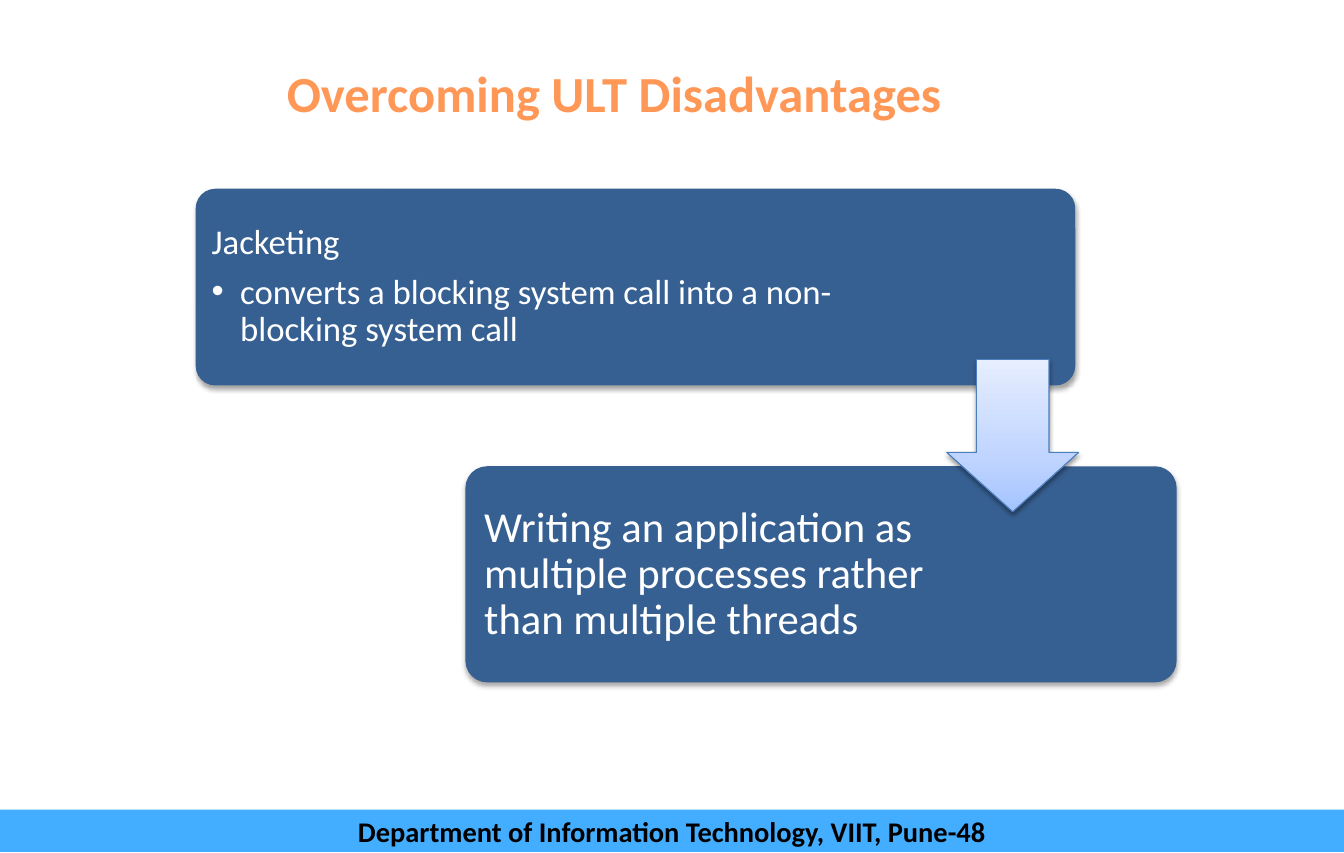
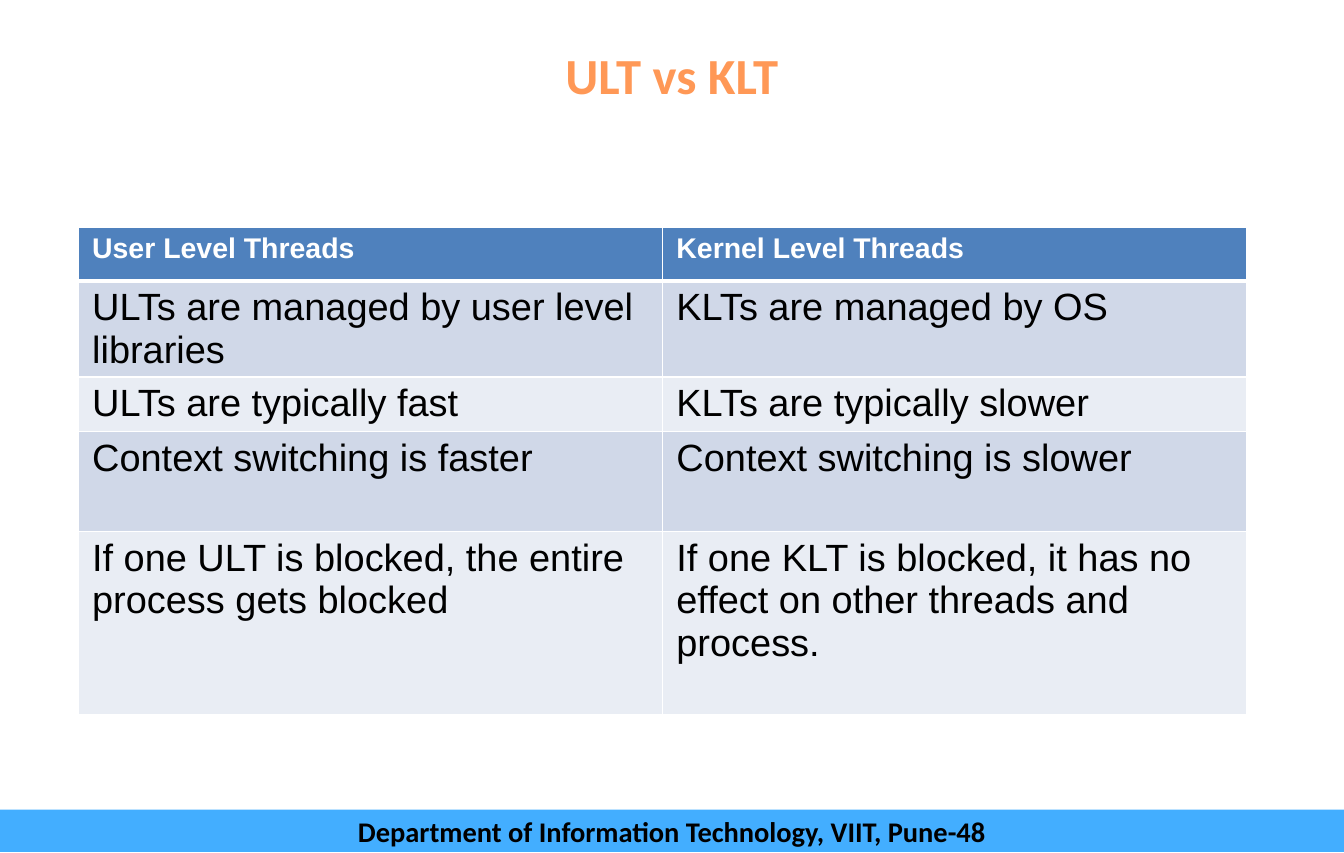
from copy import deepcopy

from lxml.etree import SubElement
from pptx import Presentation
from pptx.dml.color import RGBColor
from pptx.enum.shapes import MSO_SHAPE
from pptx.enum.text import MSO_ANCHOR, MSO_AUTO_SIZE, PP_ALIGN
from pptx.oxml import parse_xml
from pptx.oxml.ns import nsdecls, qn
from pptx.util import Inches, Pt

WHITE = RGBColor(0xFF, 0xFF, 0xFF)
BLACK = RGBColor(0x00, 0x00, 0x00)
ORANGE = RGBColor(0xFF, 0x98, 0x56)
SKY = RGBColor(0x43, 0xAE, 0xFF)
NAVY = RGBColor(0x37, 0x60, 0x92)
ARROW_LINE = RGBColor(0x4B, 0x7E, 0xBC)
ARROW_STOPS = [(0, RGBColor(0xA4, 0xC4, 0xFF)),
               (0.35, RGBColor(0xBF, 0xD4, 0xFF)),
               (1, RGBColor(0xE6, 0xEE, 0xFF))]
HEADER_BLUE = RGBColor(0x4F, 0x81, 0xBD)
BANDS = [RGBColor(0xD0, 0xD8, 0xE8), RGBColor(0xE9, 0xED, 0xF4)]

WIDTH = 30 / 2.54  # the slide is 30 cm wide
FOOTER = "Department of Information Technology, VIIT, Pune-48"


def add_run(p, text, size, color, bold=False, name="Calibri"):
    r = p.add_run()
    r.text = text
    r.font.name, r.font.size, r.font.bold = name, Pt(size), bold
    r.font.color.rgb = color


def add_shadow(shape, alpha):
    shape.shadow.inherit = False
    effects = shape._element.spPr.find(qn("a:effectLst"))
    effects.append(parse_xml(
        f'<a:outerShdw {nsdecls("a")} blurRad="{Pt(3.1)}" dist="{Pt(1.8)}" dir="5400000" '
        f'rotWithShape="0"><a:srgbClr val="000000"><a:alpha val="{alpha * 1000}"/>'
        '</a:srgbClr></a:outerShdw>'))


prs = Presentation()
prs.slide_width, prs.slide_height = Inches(WIDTH), Inches(7.5)

# Title, box, alignment, anchor and top margin of each slide
TITLES = [
    ("Overcoming ULT Disadvantages", (2.42, 0.4, 7.63, 0.83),
     PP_ALIGN.LEFT, MSO_ANCHOR.MIDDLE, 0.05),
    ("ULT vs KLT", (0.59, 0.3, 10.63, 1.25),
     PP_ALIGN.CENTER, MSO_ANCHOR.TOP, 0.09),
]
slides = []
for text, box, align, anchor, margin_top in TITLES:
    slide = prs.slides.add_slide(prs.slide_layouts[5])
    slides.append(slide)

    title = slide.shapes.title
    title.left, title.top, title.width, title.height = map(Inches, box)
    tf = title.text_frame
    tf.auto_size = MSO_AUTO_SIZE.NONE
    tf.vertical_anchor = anchor
    tf.margin_top = Inches(margin_top)
    p = tf.paragraphs[0]
    p.alignment = align
    add_run(p, text, 32, ORANGE, bold=True)

    footer = slide.shapes.add_shape(
        MSO_SHAPE.RECTANGLE, 0, Inches(7.12), Inches(WIDTH), Inches(0.37))
    footer.shadow.inherit = False
    footer.fill.solid()
    footer.fill.fore_color.rgb = SKY
    footer.line.fill.background()
    tf = footer.text_frame
    tf.vertical_anchor = MSO_ANCHOR.MIDDLE
    p = tf.paragraphs[0]
    p.alignment = PP_ALIGN.CENTER
    add_run(p, FOOTER, 18, BLACK, bold=True)

threads, comparison = slides

# Two steps joined by an arrow: box, font size, inset, right margin, paragraphs
STEPS = [
    ((1.72, 1.66, 7.73, 1.73), 22, 0.09, 1.78,
     ["Jacketing", "converts a blocking system call into a non-blocking system call"]),
    ((4.09, 4.1, 6.25, 1.9), 27, 0.11, 2.13,
     ["Writing an application as multiple processes rather than multiple threads"]),
]
for box, size, inset, margin_right, texts in STEPS:
    step = threads.shapes.add_shape(MSO_SHAPE.ROUNDED_RECTANGLE, *map(Inches, box))
    step.adjustments[0] = 0.1
    step.fill.solid()
    step.fill.fore_color.rgb = NAVY
    step.line.fill.background()
    add_shadow(step, 35)
    tf = step.text_frame
    tf.word_wrap = True
    tf.vertical_anchor = MSO_ANCHOR.MIDDLE
    tf.margin_left = tf.margin_top = tf.margin_bottom = Inches(inset)
    tf.margin_right = Inches(margin_right)
    for i, text in enumerate(texts):
        p = tf.paragraphs[0] if i == 0 else tf.add_paragraph()
        p.alignment = PP_ALIGN.LEFT
        p.line_spacing = 0.9
        if i > 0:
            p.space_before = Pt(7.5)
            pPr = p._p.get_or_add_pPr()
            pPr.set("marL", str(Inches(0.25)))
            pPr.set("indent", str(-Inches(0.25)))
            SubElement(pPr, qn("a:buFont")).set("typeface", "Arial")
            SubElement(pPr, qn("a:buChar")).set("char", "•")
        add_run(p, text, size, WHITE)

arrow = threads.shapes.add_shape(
    MSO_SHAPE.DOWN_ARROW, Inches(8.32), Inches(3.16), Inches(1.16), Inches(1.34))
arrow.adjustments[0], arrow.adjustments[1] = 0.55, 0.45
arrow.fill.gradient()
arrow.fill.gradient_angle = 90
stop_list = arrow._element.spPr.find(qn("a:gradFill")).find(qn("a:gsLst"))
stop_list.append(deepcopy(stop_list[-1]))
for stop, (position, color) in zip(arrow.fill.gradient_stops, ARROW_STOPS):
    stop.position = position
    stop.color.rgb = color
arrow.line.color.rgb = ARROW_LINE
arrow.line.width = Pt(0.75)
add_shadow(arrow, 38)

ROWS = [
    (0.47, "User Level Threads", "Kernel Level Threads"),
    (0.83, "ULTs are managed by user level libraries", "KLTs are managed by OS"),
    (0.48, "ULTs are typically fast", "KLTs are typically slower"),
    (0.88, "Context switching is faster", "Context switching is slower"),
    (1.61, "If one ULT is blocked, the entire process gets blocked",
     "If one KLT is blocked, it has no effect on other threads and process."),
]
table = comparison.shapes.add_table(
    len(ROWS), 2, Inches(0.69), Inches(2), Inches(10.27),
    Inches(sum(row[0] for row in ROWS))).table
for i, (height, *texts) in enumerate(ROWS):
    table.rows[i].height = Inches(height)
    header = i == 0
    for j, text in enumerate(texts):
        cell = table.cell(i, j)
        cell.margin_left = cell.margin_right = Inches(0.12)
        cell.margin_top = cell.margin_bottom = Inches(0.05)
        tcPr = cell._tc.get_or_add_tcPr()
        for side in "LRTB":
            thick = (header and side == "B") or (i == 1 and side == "T")
            tcPr.append(parse_xml(
                f'<a:ln{side} {nsdecls("a")} w="{Pt(3 if thick else 1)}"><a:solidFill>'
                f'<a:srgbClr val="{WHITE}"/></a:solidFill></a:ln{side}>'))
        cell.fill.solid()
        cell.fill.fore_color.rgb = HEADER_BLUE if header else BANDS[(i - 1) % 2]
        add_run(cell.text_frame.paragraphs[0], text, 18 if header else 24,
                WHITE if header else BLACK, bold=header, name="Arial")

prs.save("out.pptx")
